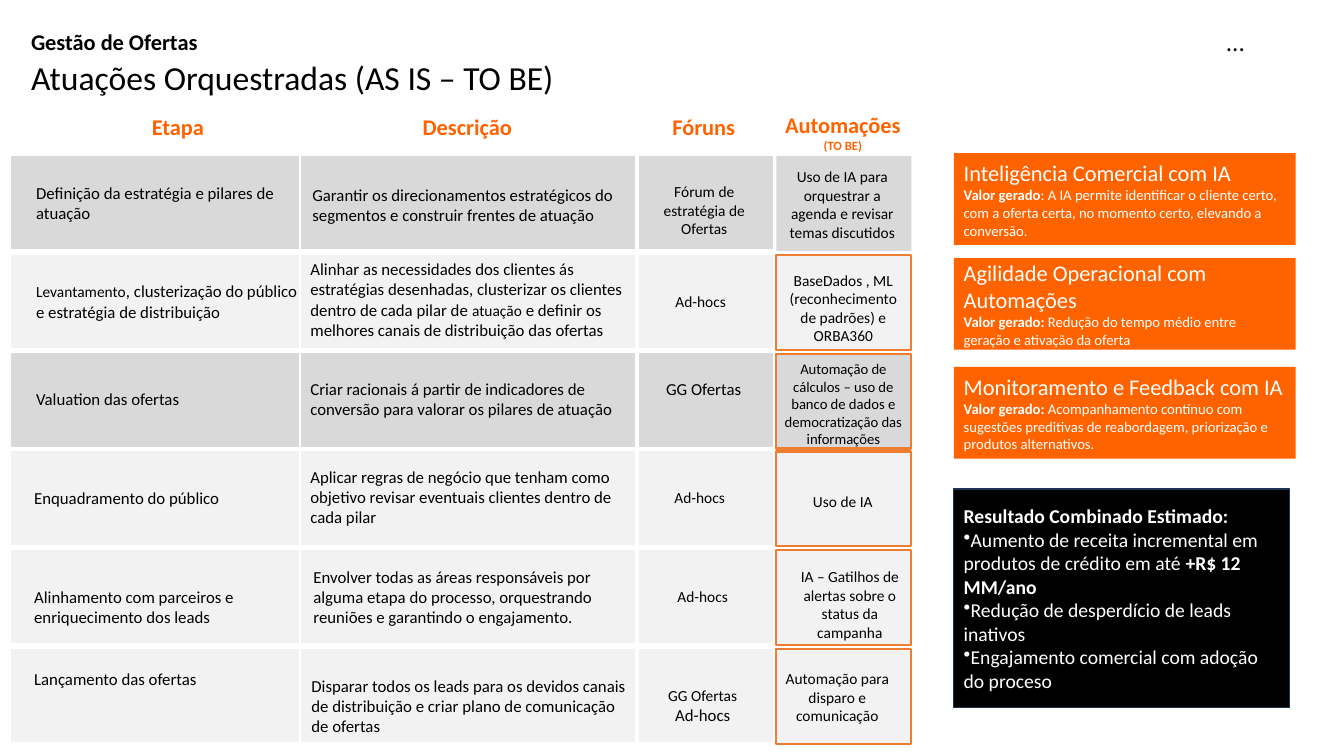
from dataclasses import dataclass

from lxml import etree
from pptx import Presentation
from pptx.dml.color import RGBColor
from pptx.enum.shapes import MSO_SHAPE
from pptx.enum.text import MSO_ANCHOR, MSO_AUTO_SIZE, PP_ALIGN
from pptx.oxml.ns import qn
from pptx.util import Emu, Pt

RECTANGLE = MSO_SHAPE.RECTANGLE
LEFT, CENTER = PP_ALIGN.LEFT, PP_ALIGN.CENTER
TOP, MIDDLE = MSO_ANCHOR.TOP, MSO_ANCHOR.MIDDLE
GROW = MSO_AUTO_SIZE.SHAPE_TO_FIT_TEXT
EMU_PER_PX = 9144  # 100 px to the inch


@dataclass(frozen=True)
class Theme:
    font: str = "Calibri"
    black: str = "000000"
    white: str = "FFFFFF"
    orange: str = "FE6300"
    outline: str = "ED7D31"
    navy: str = "1E3256"
    dark_row: str = "D9D9D9"
    light_row: str = "F2F2F2"
    title: float = 24
    dots: float = 18
    heading: float = 16
    result: float = 14
    body: float = 12
    small: float = 11
    compact: float = 10.5
    note: float = 9


THEME = Theme()

# Grid of stages: column left and width, row top, pitch and height
COLUMNS = [(10, 287), (298, 333), (633, 134)]
AUTOMATION_COLUMN = (770, 134)
ROW_TOP, ROW_PITCH, ROW_HEIGHT = 154, 97.8, 94
ROW_FILLS = [THEME.dark_row, THEME.light_row, THEME.dark_row] + [THEME.light_row] * 3

# Headings: text, note below, (left, top, width, height)
HEADINGS = [
    ("Etapa", None, (10, 107, 333, 37)),
    ("Descrição", None, (298, 107, 331, 37)),
    ("Fóruns", None, (605, 107, 186, 37)),
    ("Automações", "(TO BE)", (743, 105, 186, 52)),
]

# Cell texts: paragraphs of (text, size) pieces, (left, top, width, height)
BODY, SMALL, COMPACT = THEME.body, THEME.small, THEME.compact
STAGES = [
    ([[("Definição da estratégia e pilares de atuação", BODY)]], (26, 176, 279, 50)),
    ([[("Levantamento", SMALL),
       (", clusterização do público e estratégia de distribuição", BODY)]],
     (26, 274, 279, 50)),
    ([[("Valuation das ofertas", BODY)]], (26, 381, 279, 30)),
    ([[("Enquadramento do público", BODY)]], (24, 479, 279, 30)),
    ([[("Alinhamento com parceiros e enriquecimento dos leads", BODY)]],
     (24, 577, 279, 50)),
    ([[("Lançamento das ofertas", BODY)]], (24, 659, 279, 30)),
]
DESCRIPTIONS = [
    ([[("Garantir os direcionamentos estratégicos do segmentos e construir "
        "frentes de atuação", BODY)]], (300, 178, 335, 50)),
    ([[("Alinhar as necessidades dos clientes ás estratégias desenhadas, "
        "clusterizar os clientes dentro de cada pilar de ", BODY),
       ("atuação", SMALL),
       (" e definir os melhores canais de distribuição das ofertas", BODY)]],
     (298, 252, 331, 91)),
    ([[("Criar racionais á partir de indicadores de conversão para valorar os "
        "pilares de atuação", BODY)]], (298, 371, 331, 50)),
    ([[("Aplicar regras de negócio que tenham como objetivo revisar eventuais "
        "clientes dentro de cada pilar", BODY)]], (298, 458, 330, 71)),
    ([[("Envolver todas as áreas responsáveis por alguma etapa do processo, "
        "orquestrando reuniões e garantindo o engajamento.", BODY)]],
     (301, 557, 332, 71)),
    ([[("Disparar todos os leads para os devidos canais de distribuição e criar "
        "plano de comunicação de ofertas", BODY)]], (299, 665, 332, 71)),
]
FORUMS = [
    ([[("Fórum de estratégia de Ofertas", SMALL)]], (639, 176, 119, 66)),
    ([[("Ad-hocs", SMALL)]], (602, 285, 186, 29)),
    ([[("GG Ofertas", BODY)]], (605, 371, 186, 30)),
    ([[("Ad-hocs", SMALL)]], (601, 479, 186, 29)),
    ([[("Ad-hocs", SMALL)]], (604, 578, 186, 29)),
    ([[("GG Ofertas", SMALL)], [("Ad-hocs", BODY)]], (604, 676, 186, 69)),
]
AUTOMATIONS = [
    ([[("Uso de IA para orquestrar a agenda e revisar temas discutidos", SMALL)]],
     (765, 161, 141, 84)),
    ([[("BaseDados , ML (reconhecimento de padrões) e ORBA360", SMALL)]],
     (766, 264, 141, 84)),
    ([[("Automação de cálculos – uso de banco de dados e democratização das "
        "informações", COMPACT)]], (766, 352, 141, 98)),
    ([[("Uso de IA", SMALL)]], (774, 483, 124, 29)),
    ([[("IA – Gatilhos de alertas sobre o status da campanha", SMALL)]],
     (776, 558, 134, 84)),
    ([[("Automação para disparo e comunicação", SMALL)]], (767, 659, 127, 66)),
]

# Value cards: top, title, bold lead, explanation
CARDS = [
    (152, "Inteligência Comercial com IA", "Valor gerado",
     ": A IA permite identificar o cliente certo, com a oferta certa, no momento "
     "certo, elevando a conversão."),
    (256, "Agilidade Operacional com Automações", "Valor gerado:",
     " Redução do tempo médio entre geração e ativação da oferta"),
    (364, "Monitoramento e Feedback com IA", "Valor gerado:",
     " Acompanhamento contínuo com sugestões preditivas de reabordagem, "
     "priorização e produtos alternativos."),
]
RESULTS = [
    [("Resultado Combinado Estimado:", THEME.result, True)],
    [("Aumento de receita incremental em produtos de crédito em até ", THEME.result),
     ("+R$ 12 MM/ano", THEME.result, True)],
    [("Redução de desperdício de leads inativos", THEME.result)],
    [("Engajamento comercial com adoção do proceso", THEME.result)],
]


def px(*lengths):
    return [Emu(round(length * EMU_PER_PX)) for length in lengths]


def write(frame, paragraphs, color, align=LEFT, anchor=TOP, wrap=True):
    """Fill a frame with paragraphs of (text, size[, bold]) pieces."""
    frame.word_wrap = wrap
    frame.vertical_anchor = anchor
    for index, pieces in enumerate(paragraphs):
        para = frame.add_paragraph() if index else frame.paragraphs[0]
        para.alignment = align
        for text, size, *bold in pieces:
            span = para.add_run()
            span.text = text
            span.font.name = THEME.font
            span.font.size = Pt(size)
            span.font.bold = bool(bold and bold[0])
            span.font.color.rgb = RGBColor.from_string(color)


def add_text(page, paragraphs, place, color=THEME.black, align=LEFT, wrap=True):
    box = page.shapes.add_textbox(*px(*place))
    write(box.text_frame, paragraphs, color, align, wrap=wrap)
    box.text_frame.auto_size = GROW


def add_box(page, place, fill, line=None, width=1):
    box = page.shapes.add_shape(RECTANGLE, *px(*place))
    box.shadow.inherit = False
    box.fill.solid()
    box.fill.fore_color.rgb = RGBColor.from_string(fill)
    if line:
        box.line.color.rgb = RGBColor.from_string(line)
        box.line.width = Pt(width)
    else:
        box.line.fill.background()
    return box


def add_bullet(para):
    properties = para._p.get_or_add_pPr()
    etree.SubElement(properties, qn("a:buChar")).set("char", "•")


def add_grid(page):
    for row, fill in enumerate(ROW_FILLS):
        top = round(ROW_TOP + row * ROW_PITCH)
        for left, width in COLUMNS:
            add_box(page, (left, top, width, ROW_HEIGHT), fill, THEME.white)
        left, width = AUTOMATION_COLUMN
        add_box(page, (left, top + 1, width, ROW_HEIGHT), fill,
                THEME.outline if row else None, 1.5)


def add_cards(page):
    for top, title, lead, explanation in CARDS:
        card = add_box(page, (946, top, 339, 91), THEME.orange)
        write(card.text_frame,
              [[(title, THEME.heading)],
               [(lead, COMPACT, True), (explanation, COMPACT)]],
              THEME.white, anchor=MIDDLE)


def add_results(page):
    panel = add_box(page, (946, 485, 333, 217), THEME.black, THEME.navy)
    write(panel.text_frame, RESULTS, THEME.white, anchor=MIDDLE)
    for para in panel.text_frame.paragraphs[1:]:
        add_bullet(para)


def main():
    deck = Presentation()
    deck.slide_width, deck.slide_height = px(1333, 750)
    page = deck.slides.add_slide(deck.slide_layouts[6])

    # Title area
    add_text(page, [[("Atuações Orquestradas (AS IS – TO BE)", THEME.title)]],
             (21, 52, 551, 50), wrap=False)
    add_text(page, [[("Gestão de Ofertas", THEME.heading, True)]],
             (21, 23, 187, 37), wrap=False)
    add_text(page, [[("...", THEME.dots)]], (1206, 21, 39, 40), wrap=False)

    # Stage grid
    add_grid(page)
    for heading, note, place in HEADINGS:
        paragraphs = [[(heading, THEME.heading, True)]]
        if note:
            paragraphs.append([(note, THEME.note, True)])
        add_text(page, paragraphs, place, THEME.orange, CENTER)
    for paragraphs, place in STAGES + DESCRIPTIONS:
        add_text(page, paragraphs, place)
    for paragraphs, place in FORUMS + AUTOMATIONS:
        add_text(page, paragraphs, place, align=CENTER)

    # Right-hand side
    add_cards(page)
    add_results(page)
    deck.save("out.pptx")


if __name__ == "__main__":
    main()
